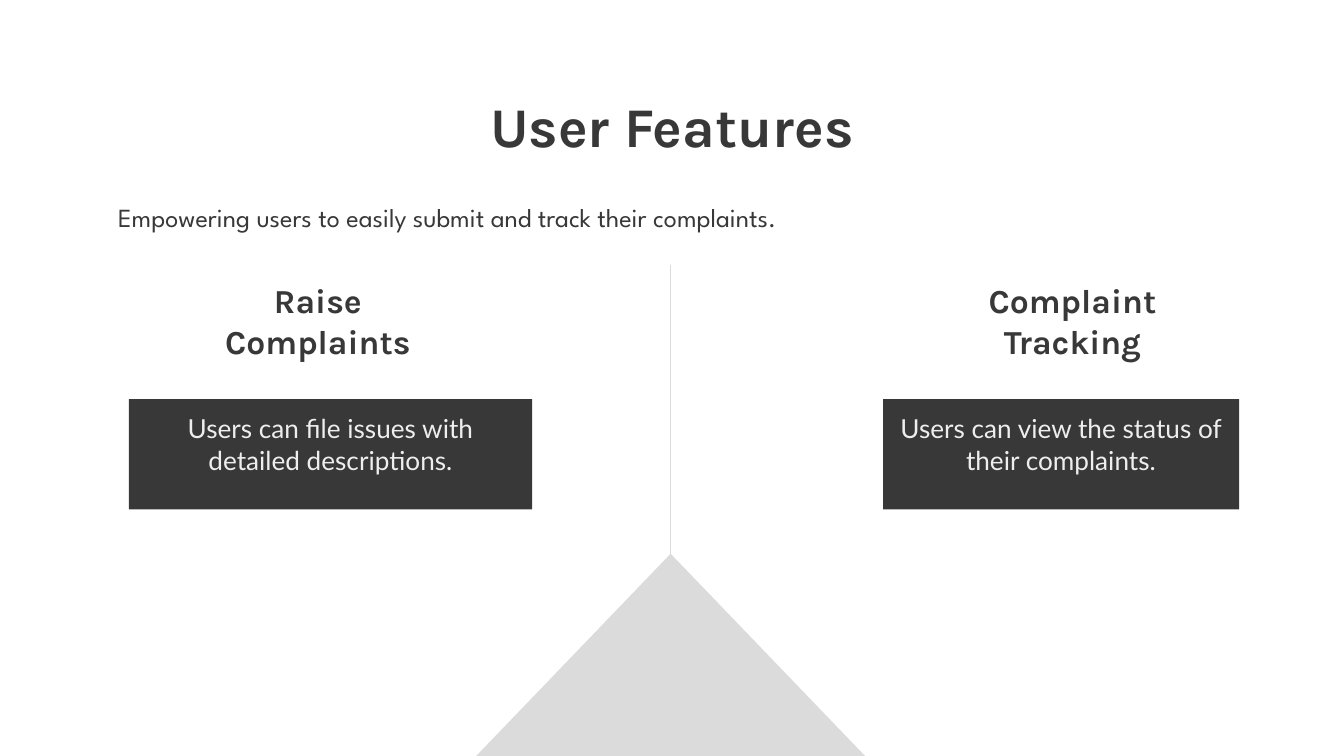
from dataclasses import dataclass

from lxml import etree
from pptx import Presentation
from pptx.dml.color import RGBColor
from pptx.enum.shapes import MSO_CONNECTOR, MSO_SHAPE
from pptx.enum.text import MSO_ANCHOR, MSO_AUTO_SIZE, PP_ALIGN
from pptx.oxml.ns import qn
from pptx.util import Inches, Pt

CENTER, LEFT = PP_ALIGN.CENTER, PP_ALIGN.LEFT
TOP, MIDDLE = MSO_ANCHOR.TOP, MSO_ANCHOR.MIDDLE
NO_AUTO_SIZE = MSO_AUTO_SIZE.NONE
RECTANGLE, TRIANGLE = MSO_SHAPE.RECTANGLE, MSO_SHAPE.ISOSCELES_TRIANGLE
STRAIGHT = MSO_CONNECTOR.STRAIGHT
TITLE_ONLY = 5

# The grid has square cells, 100 columns across the slide.
COLUMNS, ROWS = 100, 56.25
CELL = Inches(0.1)

HEADING_ROW, HEADING_HEIGHT = 22.8, 5.1
CARD_ROW, CARD_HEIGHT = 29.7, 8.2
PEAK_COLUMN, PEAK_ROW = 49.9, 41.2

FEATURES = [
    # heading, heading column and width, description, card column and width
    ("Raise Complaints", 12.9, 21.5,
     "Users can file issues with detailed descriptions.", 9.6, 30),
    ("Complaint Tracking", 71.6, 16.4,
     "Users can view the status of their complaints.", 65.7, 26.5),
]


@dataclass(frozen=True)
class Theme:
    dark: RGBColor = RGBColor(0x38, 0x38, 0x38)
    light: RGBColor = RGBColor(0xEE, 0xEE, 0xEE)
    accent: RGBColor = RGBColor(0xDB, 0xDB, 0xDB)
    background: RGBColor = RGBColor(0xFF, 0xFF, 0xFF)
    heading_font: str = "Karla"
    card_font: str = "Lato"
    intro_font: str = "League Spartan"
    title_size: int = 30
    heading_size: int = 18
    body_size: int = 14
    line_width: float = 0.75


THEME = Theme()


def grid(*cells):
    return [int(cell * CELL) for cell in cells]


def write_text(shape, text, *, font, size, color=THEME.dark, bold=False,
               align=CENTER, anchor=TOP, inset_top=1, inset_bottom=1):
    frame = shape.text_frame
    frame.text = text
    frame.word_wrap = True
    frame.auto_size = NO_AUTO_SIZE
    frame.vertical_anchor = anchor
    frame.margin_left = frame.margin_right = CELL
    frame.margin_top, frame.margin_bottom = grid(inset_top, inset_bottom)
    paragraph = frame.paragraphs[0]
    paragraph.alignment = align
    style = paragraph.runs[0].font
    style.name, style.size, style.bold = font, Pt(size), bold
    style.color.rgb = color


def add_title(slide, text):
    title = slide.shapes.title
    title.left, title.top, title.width, title.height = grid(21.6, 5.8, 56.8, 5.8)
    write_text(title, text, font=THEME.heading_font, size=THEME.title_size, bold=True)


def add_filled_shape(slide, kind, box, color):
    shape = slide.shapes.add_shape(kind, *grid(*box))
    shape.shadow.inherit = False
    shape.fill.solid()
    shape.fill.fore_color.rgb = color
    shape.line.fill.background()
    return shape


def add_text(slide, text, box, **text_format):
    write_text(slide.shapes.add_textbox(*grid(*box)), text, **text_format)


def add_line(slide, start, end):
    line = slide.shapes.add_connector(STRAIGHT, *grid(*start, *end))
    line.line.color.rgb = THEME.accent
    line.line.width = Pt(THEME.line_width)
    etree.SubElement(line._element.spPr, qn("a:effectLst"))


def add_feature(slide, heading, heading_column, heading_width,
                description, card_column, card_width):
    # The deeper bottom inset lifts the two-line heading clear of its card.
    add_text(slide, heading,
             (heading_column, HEADING_ROW, heading_width, HEADING_HEIGHT),
             font=THEME.heading_font, size=THEME.heading_size, bold=True,
             anchor=MIDDLE, inset_top=0.5, inset_bottom=3.5)
    card = add_filled_shape(slide, RECTANGLE,
                            (card_column, CARD_ROW, card_width, CARD_HEIGHT), THEME.dark)
    write_text(card, description, font=THEME.card_font, size=THEME.body_size,
               color=THEME.light)


def main():
    presentation = Presentation()
    presentation.slide_width, presentation.slide_height = grid(COLUMNS, ROWS)
    slide = presentation.slides.add_slide(presentation.slide_layouts[TITLE_ONLY])
    slide.background.fill.solid()
    slide.background.fill.fore_color.rgb = THEME.background

    triangle_width = 29.8
    add_filled_shape(slide, TRIANGLE,
                     (PEAK_COLUMN - triangle_width / 2, PEAK_ROW, triangle_width, 15.5),
                     THEME.accent)
    add_title(slide, "User Features")
    add_text(slide, "Empowering users to easily submit and track their complaints.",
             (7.8, 14, 66.2, 3.4), font=THEME.intro_font, size=THEME.body_size, align=LEFT)
    for feature in FEATURES:
        add_feature(slide, *feature)
    add_line(slide, (PEAK_COLUMN, 19.7), (PEAK_COLUMN, PEAK_ROW))
    presentation.save("out.pptx")


if __name__ == "__main__":
    main()
